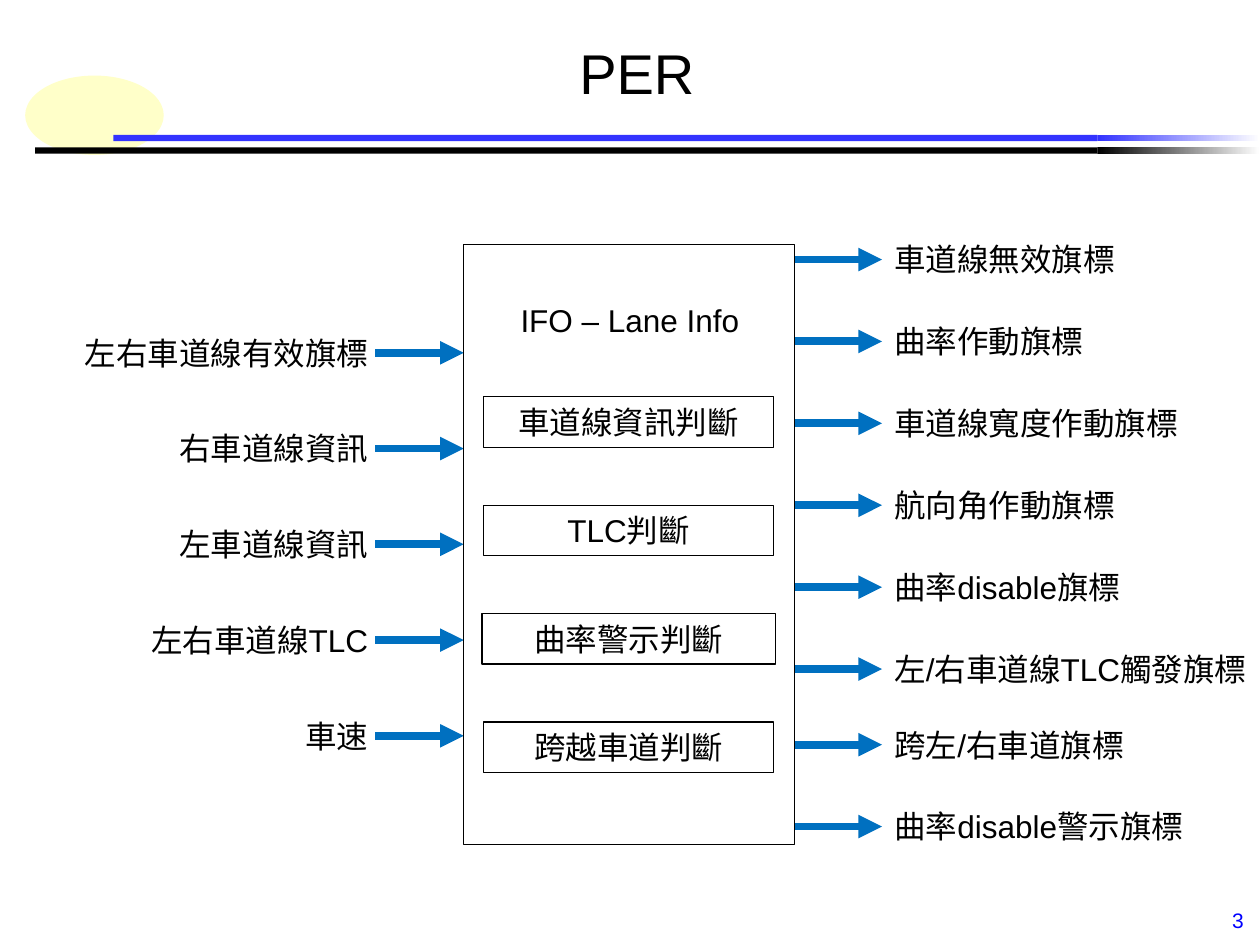
from lxml import etree
from pptx import Presentation
from pptx import util as u
from pptx.dml.color import RGBColor
from pptx.enum import shapes, text
from pptx.oxml.ns import qn

BLACK = RGBColor(0x00, 0x00, 0x00)
WHITE = RGBColor(0xFF, 0xFF, 0xFF)
PALE_YELLOW = RGBColor(0xFF, 0xFF, 0xC9)
RULE_BLUE = RGBColor(0x33, 0x33, 0xFF)
NUMBER_BLUE = RGBColor(0x00, 0x00, 0xFF)
ARROW_BLUE = RGBColor(0x00, 0x70, 0xC0)

LEFT, CENTER, RIGHT = text.PP_ALIGN.LEFT, text.PP_ALIGN.CENTER, text.PP_ALIGN.RIGHT
TOP, MIDDLE = text.MSO_ANCHOR.TOP, text.MSO_ANCHOR.MIDDLE
FIT, FIXED = text.MSO_AUTO_SIZE.SHAPE_TO_FIT_TEXT, text.MSO_AUTO_SIZE.NONE
RECT, OVAL = shapes.MSO_SHAPE.RECTANGLE, shapes.MSO_SHAPE.OVAL


def write(sp, words, size=18, color=BLACK, align=LEFT, anchor=TOP, fit=FIT, font="Arial"):
    tf = sp.text_frame
    tf.word_wrap, tf.auto_size, tf.vertical_anchor = True, fit, anchor
    p = tf.paragraphs[0]
    p.alignment = align
    r = p.add_run()
    r.text = words
    r.font.name, r.font.size = font, u.Pt(size)
    r.font.color.rgb = color


class Canvas:
    def __init__(self, s):
        self.s = s

    def title(self, words, box):
        sp = self.s.shapes.title
        sp.left, sp.top, sp.width, sp.height = map(u.Inches, box)
        write(sp, words, size=32, align=CENTER, anchor=MIDDLE, fit=FIXED)

    def label(self, words, box, **style):
        write(self.s.shapes.add_textbox(*map(u.Inches, box)), words, **style)

    def shape(self, kind, box, fill=None, line=None):
        sp = self.s.shapes.add_shape(kind, *map(u.Inches, box))
        sp.shadow.inherit = False
        if fill is None:
            sp.fill.background()
        else:
            sp.fill.solid()
            sp.fill.fore_color.rgb = fill
        if line is None:
            sp.line.fill.background()
        else:
            sp.line.color.rgb, sp.line.width = BLACK, u.Pt(line)
        return sp

    def gradient(self, box, start, end):
        sp = self.shape(RECT, box)
        sp.fill.gradient()
        sp.fill.gradient_angle = 0
        for stop, position, color in zip(sp.fill.gradient_stops, (0, 1), (start, end)):
            stop.position, stop.color.rgb = position, color

    def arrow(self, x, y, length=0.7):
        line = self.s.shapes.add_connector(
            shapes.MSO_CONNECTOR.STRAIGHT, *map(u.Inches, (x, y, x + length, y)))
        line.line.color.rgb, line.line.width = ARROW_BLUE, u.Pt(4.5)
        props = line.element.spPr
        etree.SubElement(props.find(qn("a:ln")), qn("a:tailEnd"), type="triangle")
        etree.SubElement(props, qn("a:effectLst"))

    def step(self, words, y, width):
        sp = self.shape(RECT, (4.99 - width / 2, y, width, 0.4), line=0.75)
        write(sp, words, align=CENTER)


prs = Presentation()
prs.slide_width, prs.slide_height = u.Inches(10), u.Inches(7.5)
c = Canvas(prs.slides.add_slide(prs.slide_layouts[5]))

# Plain header accent and double rule
c.shape(OVAL, (0.2, 0.6, 1.1, 0.63), fill=PALE_YELLOW)
for x, y, color in ((0.9, 1.07, RULE_BLUE), (0.28, 1.17, BLACK)):
    c.gradient((8.71, y, 1.29, 0.05), color, WHITE)
    c.shape(RECT, (x, y, 8.71 - x, 0.05), fill=color)

# Title and slide number
c.title("PER", (1.14, 0.12, 7.83, 0.91))
c.label("3", (7.64, 7.14, 2.33, 0.33), size=12, color=NUMBER_BLUE,
        align=RIGHT, anchor=MIDDLE, fit=FIXED)

# Outputs: the last two rows form their own group
output_groups = (
    (2.06, (("車道線無效旗標", 2.5), ("曲率作動旗標", 2.5),
            ("車道線寬度作動旗標", 2.5), ("航向角作動旗標", 2.5),
            ("曲率disable旗標", 2.5), ("左/右車道線TLC觸發旗標", 3.05))),
    (5.91, (("跨左/右車道旗標", 2.6), ("曲率disable警示旗標", 2.5))),
)
for first, rows in output_groups:
    for i, (words, width) in enumerate(rows):
        y = first + 0.65 * i
        c.label(words, (7, y - 0.2, width, 0.4))
        c.arrow(6.3, y)

# Inputs, right-aligned to the arrows
inputs = ("左右車道線有效旗標", "右車道線資訊", "左車道線資訊", "左右車道線TLC", "車速")
for i, words in enumerate(inputs):
    y = 2.8 + 0.76 * i
    c.label(words, (0.05, y - 0.2, 2.97, 0.4), align=RIGHT)
    c.arrow(2.98, y)

# Lane info block with its decision steps
c.shape(RECT, (3.68, 1.94, 2.62, 4.76), fill=WHITE, line=0.25)
c.label("IFO – Lane Info", (3.8, 2.34, 2.4, 0.4), align=CENTER)
steps = (("車道線資訊判斷", 2.3), ("TLC判斷", 2.3), ("曲率警示判斷", 2.33), ("跨越車道判斷", 2.3))
for i, (words, width) in enumerate(steps):
    c.step(words, 3.15 + 0.86 * i, width)

prs.save("out.pptx")
